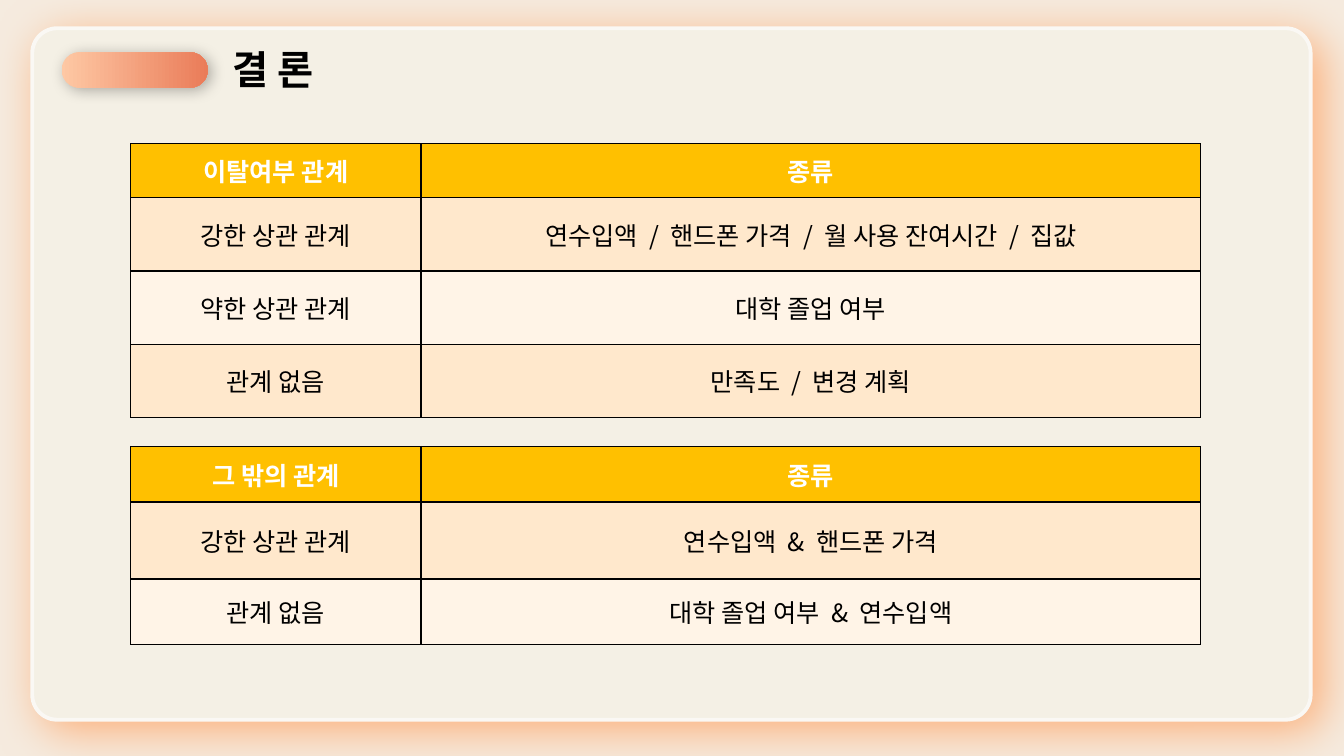
from dataclasses import dataclass

from lxml import etree
from pptx import Presentation
from pptx.dml.color import RGBColor
from pptx.enum.shapes import MSO_SHAPE
from pptx.enum.text import MSO_ANCHOR, MSO_AUTO_SIZE, PP_ALIGN
from pptx.oxml.ns import qn
from pptx.util import Inches, Pt

ROUND = MSO_SHAPE.ROUNDED_RECTANGLE
MIDDLE = MSO_ANCHOR.MIDDLE
FIXED = MSO_AUTO_SIZE.NONE
LEFT, CENTER = PP_ALIGN.LEFT, PP_ALIGN.CENTER


@dataclass(frozen=True)
class Theme:
    font: str = "Noto Sans CJK KR"
    back: str = "F5EBDF"
    panel: str = "F4F0E5"
    edge: str = "FAF8F4"
    glow: str = "FDB07A"
    start: str = "FEC8A4"
    stop: str = "EA7C59"
    head: str = "FFC000"
    bands: tuple = ("FFE8CC", "FFF4E7")
    ink: str = "000000"
    white: str = "FFFFFF"
    title: int = 28
    body: int = 18
    gap: int = 4


def rgb(code):
    return RGBColor.from_string(code)


def node(parent, tag, **attrs):
    return etree.SubElement(parent, qn(tag), {k: str(v) for k, v in attrs.items()})


class Deck:
    def __init__(self, theme):
        self.theme = theme
        self.file = Presentation()
        self.file.slide_width = Inches(13.33)
        self.file.slide_height = Inches(7.5)
        self.slide = self.file.slides.add_slide(self.file.slide_layouts[5])
        self.paint(self.slide.background.fill, theme.back)

    def paint(self, fill, code):
        fill.solid()
        fill.fore_color.rgb = rgb(code)

    def wide(self, share):
        return round(self.file.slide_width * share / 100)

    def high(self, share):
        return round(self.file.slide_height * share / 100)

    def box(self, x, y, w, h):
        return self.wide(x), self.high(y), self.wide(w), self.high(h)

    def text(self, para, words, size, code, bold=False, gap=0):
        run = para.add_run()
        run.text = words
        font = run.font
        font.name, font.size, font.bold = self.theme.font, Pt(size), bold
        font.color.rgb = rgb(code)
        props = run._r.get_or_add_rPr()
        node(props, "a:ea", typeface=self.theme.font)
        if gap:
            props.set("spc", str(gap * 100))

    def shade(self, shape, code, alpha, blur, dist):
        shape.shadow.inherit = False
        effects = shape._element.spPr.find(qn("a:effectLst"))
        outer = node(effects, "a:outerShdw", blurRad=Pt(blur), dist=Pt(dist),
                     dir=45 * 60000, algn="tl", rotWithShape=0)
        color = node(outer, "a:srgbClr", val=code)
        node(color, "a:alpha", val=alpha * 1000)

    def curve(self, place, bend):
        shape = self.slide.shapes.add_shape(ROUND, *self.box(*place))
        shape.adjustments[0] = bend
        return shape

    def panel(self, place):
        shape = self.curve(place, 0.036)
        self.paint(shape.fill, self.theme.panel)
        self.paint(shape.line.fill, self.theme.edge)
        shape.line.width = Pt(2.75)
        self.shade(shape, self.theme.glow, 100, 33, 10)

    def pill(self, place):
        shape = self.curve(place, 0.5)
        shape.fill.gradient()
        shape.fill.gradient_angle = 0
        codes = self.theme.start, self.theme.stop
        for i, (stop, code) in enumerate(zip(shape.fill.gradient_stops, codes)):
            stop.color.rgb = rgb(code)
            stop.position = i
        shape.line.fill.background()
        self.shade(shape, self.theme.ink, 30, 11, 3)

    def title(self, place, words):
        shape = self.slide.shapes.title
        shape.left, shape.top, shape.width, shape.height = self.box(*place)
        frame = shape.text_frame
        frame.auto_size, frame.word_wrap = FIXED, True
        frame.vertical_anchor = MIDDLE
        frame.margin_top = frame.margin_bottom = 0
        para = frame.paragraphs[0]
        para.alignment = LEFT
        self.text(para, words, self.theme.title, self.theme.ink, True)
        self.slide.shapes._spTree.append(shape._element)

    def frame(self, cell):
        props = cell._tc.get_or_add_tcPr()
        for i, side in enumerate(("a:lnL", "a:lnR", "a:lnT", "a:lnB")):
            line = node(props, side, w=Pt(1))
            node(node(line, "a:solidFill"), "a:srgbClr", val=self.theme.ink)
            props.insert(i, line)

    def cell(self, cell, words, mark, top, fill):
        theme = self.theme
        self.paint(cell.fill, fill)
        self.frame(cell)
        cell.vertical_anchor = MIDDLE
        cell.margin_left = cell.margin_right = 0
        cell.margin_top = cell.margin_bottom = 0
        para = cell.text_frame.paragraphs[0]
        para.alignment = CENTER
        code = theme.white if top else theme.ink
        for i, part in enumerate(words.split(f" {mark} ")):
            if i:
                for bit in (" ", mark, " "):
                    gap = theme.gap if bit == " " else 0
                    self.text(para, bit, theme.body, code, top, gap)
            self.text(para, part, theme.body, code, top)

    def table(self, x, y, cols, rows, mark, data):
        place = self.box(x, y, sum(cols), sum(rows))
        table = self.slide.shapes.add_table(len(rows), len(cols), *place).table
        table.horz_banding = False
        for col, share in zip(table.columns, cols):
            col.width = self.wide(share)
        for i, (row, share, texts) in enumerate(zip(table.rows, rows, data)):
            row.height = self.high(share)
            fill = self.theme.bands[(i - 1) % 2] if i else self.theme.head
            for cell, words in zip(row.cells, texts):
                self.cell(cell, words, mark, i == 0, fill)


CHURN = [
    ("이탈여부 관계", "종류"),
    ("강한 상관 관계", "연수입액 / 핸드폰 가격 / 월 사용 잔여시간 / 집값"),
    ("약한 상관 관계", "대학 졸업 여부"),
    ("관계 없음", "만족도 / 변경 계획"),
]
OTHER = [
    ("그 밖의 관계", "종류"),
    ("강한 상관 관계", "연수입액 & 핸드폰 가격"),
    ("관계 없음", "대학 졸업 여부 & 연수입액"),
]


def main():
    deck = Deck(Theme())
    deck.panel((2.4, 3.73, 95.12, 91.47))
    deck.pill((4.58, 6.93, 10.88, 4.67))
    deck.title((16.58, 5.33, 53.41, 7.6), "결 론")
    cols = 21.6, 58.02
    deck.table(9.72, 19.03, cols, [7.13] + [9.69] * 3, "/", CHURN)
    deck.table(9.72, 59.07, cols, [7.33, 10.2, 8.7], "&", OTHER)
    deck.file.save("out.pptx")


if __name__ == "__main__":
    main()
